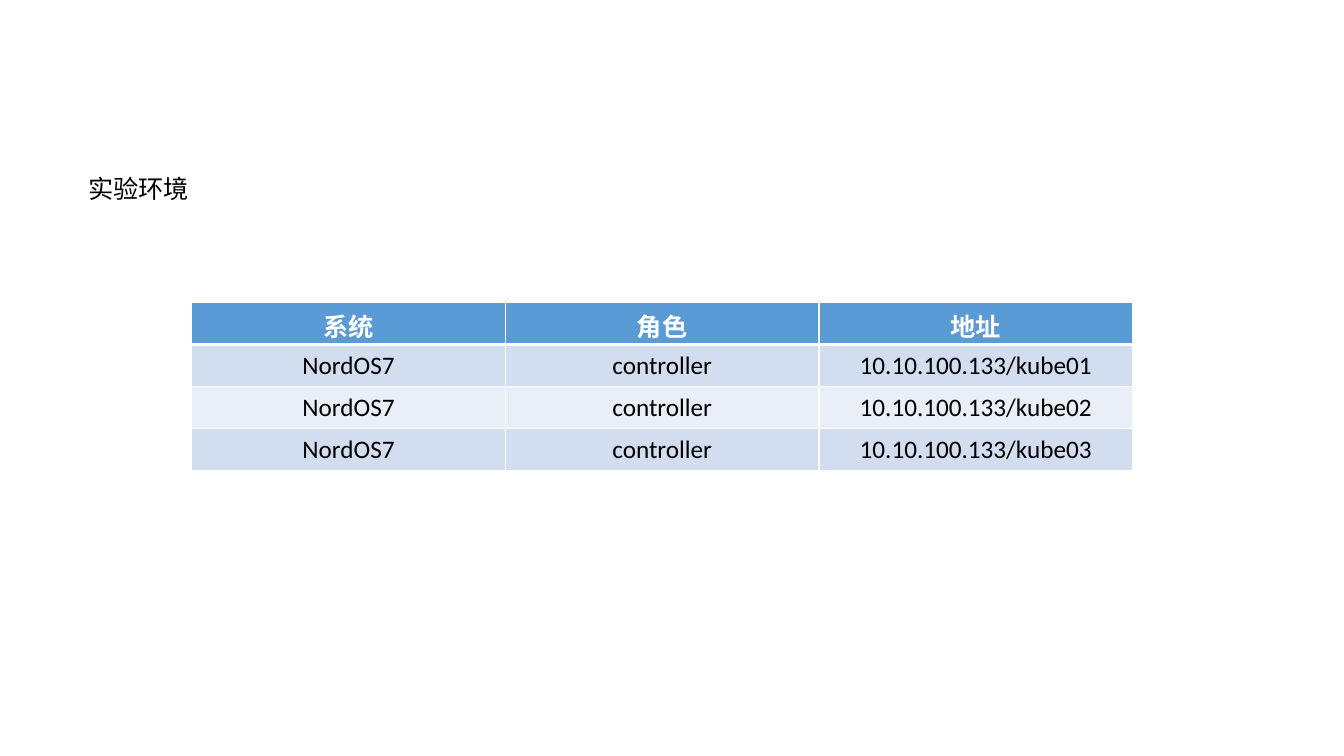
from dataclasses import dataclass

from lxml import etree
from pptx import Presentation
from pptx import util as u
from pptx.dml.color import RGBColor
from pptx.enum import text
from pptx.oxml import ns


@dataclass(frozen=True)
class Theme:
    """Colours, font and sizes of the slide."""
    font: str = "Calibri"
    size: int = 18
    ink: str = "000000"
    white: str = "FFFFFF"
    head: str = "5B9BD5"
    bands: tuple = ("D2DEEF", "EAEFF7")
    thin: int = 1
    thick: int = 3


THEME = Theme()
HEADS = ("系统", "角色", "地址")
HOSTS = [("NordOS7", "controller", f"10.10.100.133/kube{n:02}")
         for n in range(1, 4)]


def style(frame, color, bold=False):
    """Format every run in a text frame."""
    for para in frame.paragraphs:
        for run in para.runs:
            font = run.font
            font.name, font.size, font.bold = THEME.font, u.Pt(THEME.size), bold
            font.color.rgb = RGBColor.from_string(color)


def add_label(slide, words, left, top, width, height):
    """Add a one-line text box that fits its words."""
    frame = slide.shapes.add_textbox(
        u.Pt(left), u.Pt(top), u.Pt(width), u.Pt(height)).text_frame
    frame.text = words
    frame.word_wrap = False
    frame.auto_size = text.MSO_AUTO_SIZE.SHAPE_TO_FIT_TEXT
    style(frame, THEME.ink)


def add_edge(cell, side, width):
    """Draw one white border of a cell."""
    props = cell._tc.get_or_add_tcPr()
    line = etree.SubElement(props, ns.qn(f"a:ln{side}"), w=str(u.Pt(width)))
    fill = etree.SubElement(line, ns.qn("a:solidFill"))
    etree.SubElement(fill, ns.qn("a:srgbClr"), val=THEME.white)


def fill_cell(cell, words, row):
    """Write and format a cell according to its row."""
    head = row == 0
    cell.text = words
    cell.vertical_anchor = text.MSO_ANCHOR.MIDDLE
    cell.text_frame.paragraphs[0].alignment = text.PP_ALIGN.CENTER
    style(cell.text_frame, THEME.white if head else THEME.ink, head)
    heavy = {"B": 0, "T": 1}
    for side in "LRTB":
        add_edge(cell, side,
                 THEME.thick if heavy.get(side) == row else THEME.thin)
    cell.fill.solid()
    color = THEME.head if head else THEME.bands[(row - 1) % 2]
    cell.fill.fore_color.rgb = RGBColor.from_string(color)


def add_grid(slide, rows, left, top, width, height):
    """Add a banded table with equal rows and columns."""
    table = slide.shapes.add_table(
        len(rows), len(rows[0]), u.Pt(left), u.Pt(top),
        u.Pt(width), u.Pt(height)).table
    for r, row in enumerate(rows):
        for c, words in enumerate(row):
            fill_cell(table.cell(r, c), words, r)


def main():
    """Build and save the slide."""
    deck = Presentation()
    deck.slide_width, deck.slide_height = u.Pt(960), u.Pt(540)
    slide = deck.slides.add_slide(deck.slide_layouts[6])
    add_label(slide, "实验环境", 56, 120, 86.4, 29)
    add_grid(slide, [HEADS, *HOSTS], 137, 216, 672, 120)
    deck.save("out.pptx")


main()
